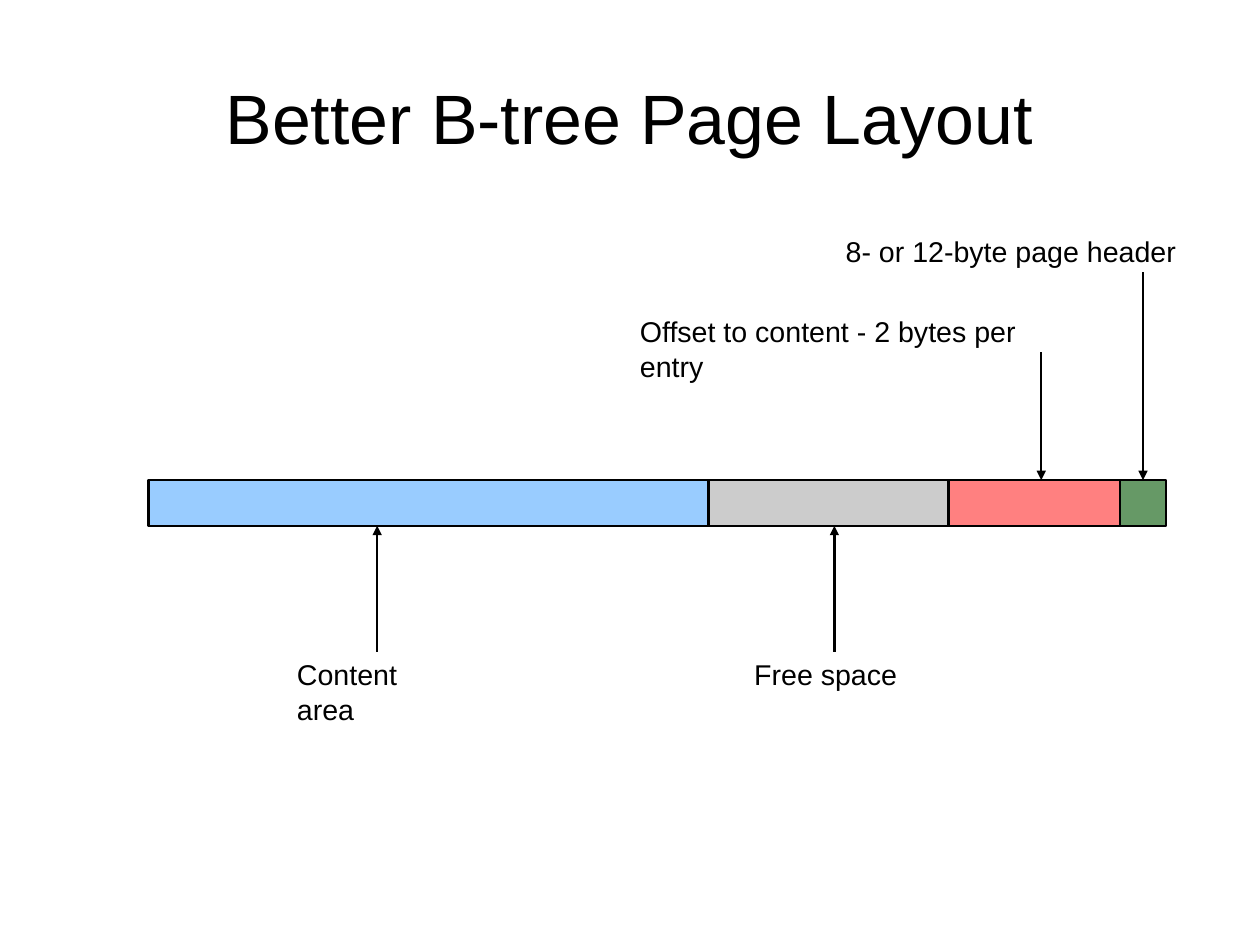
"""Build the B-tree page layout slide."""
from pptx import Presentation
from pptx.dml.color import RGBColor
from pptx.enum.shapes import MSO_CONNECTOR, MSO_SHAPE
from pptx.enum.text import MSO_ANCHOR, MSO_AUTO_SIZE, PP_ALIGN
from pptx.oxml.ns import qn
from pptx.util import Inches, Pt
from lxml.etree import SubElement

BLACK = RGBColor(0x00, 0x00, 0x00)
BLUE = RGBColor(0x99, 0xCC, 0xFF)
GRAY = RGBColor(0xCC, 0xCC, 0xCC)
RED = RGBColor(0xFF, 0x80, 0x80)
GREEN = RGBColor(0x66, 0x99, 0x66)
LINE_WIDTH = Pt(1.45)
CM_PER_INCH = 2.54
BAR_LEFT, BAR_TOP, BAR_HEIGHT = 1.3, 4.2, 0.4
LABEL_HEIGHT = 0.38

presentation = Presentation()
presentation.slide_width = Inches(28 / CM_PER_INCH)
presentation.slide_height = Inches(21 / CM_PER_INCH)
slide = presentation.slides.add_slide(presentation.slide_layouts[6])


def add_text(text, left, top, width, height, size):
    box = slide.shapes.add_textbox(Inches(left), Inches(top), Inches(width), Inches(height))
    frame = box.text_frame
    frame.word_wrap = False
    frame.auto_size = MSO_AUTO_SIZE.SHAPE_TO_FIT_TEXT
    paragraph = frame.paragraphs[0]
    paragraph.text = text
    paragraph.font.name = "Arial"
    paragraph.font.size = Pt(size)
    paragraph.font.color.rgb = BLACK
    return frame


sections = {}
left = BAR_LEFT
for name, width, color in [
    ("content", 4.9, BLUE),
    ("free", 2.1, GRAY),
    ("offsets", 1.5, RED),
    ("header", 0.4, GREEN),
]:
    shape = slide.shapes.add_shape(
        MSO_SHAPE.RECTANGLE, Inches(left), Inches(BAR_TOP), Inches(width), Inches(BAR_HEIGHT))
    shape.shadow.inherit = False
    shape.fill.solid()
    shape.fill.fore_color.rgb = color
    shape.line.color.rgb = BLACK
    shape.line.width = LINE_WIDTH
    sections[name] = shape
    left += width

title = add_text("Better B-tree Page Layout", 0.55, 0.33, 9.92, 1.38, 44)
title.word_wrap = True
title.auto_size = MSO_AUTO_SIZE.NONE
title.vertical_anchor = MSO_ANCHOR.MIDDLE
title.margin_left = title.margin_right = title.margin_top = title.margin_bottom = 0
title.paragraphs[0].alignment = PP_ALIGN.CENTER

arrows = {}
for name, text, left, top, width, arrow_x in [
    ("header", "8- or 12-byte page header", 7.3, 2, 3.09, 10),
    ("offsets", "Offset to content - 2 bytes per entry", 5.5, 2.7, 4.11, 9.11),
    ("content", "Content area", 2.5, 5.7, 1.64, 3.3),
    ("free", "Free space", 6.5, 5.7, 1.45, 7.3),
]:
    add_text(text, left, top, width, LABEL_HEIGHT, 18)
    if top < BAR_TOP:
        start_y, end_y = top + LABEL_HEIGHT, BAR_TOP
    else:
        start_y, end_y = top, BAR_TOP + BAR_HEIGHT
    arrow = slide.shapes.add_connector(
        MSO_CONNECTOR.STRAIGHT, Inches(arrow_x), Inches(start_y), Inches(arrow_x), Inches(end_y))
    arrow.line.color.rgb = BLACK
    arrow.line.width = LINE_WIDTH
    properties = arrow._element.spPr
    SubElement(properties.get_or_add_ln(), qn("a:tailEnd"), type="triangle")
    SubElement(properties, qn("a:effectLst"))
    arrows[name] = arrow

arrows["header"].end_connect(sections["header"], 0)

presentation.save("out.pptx")
